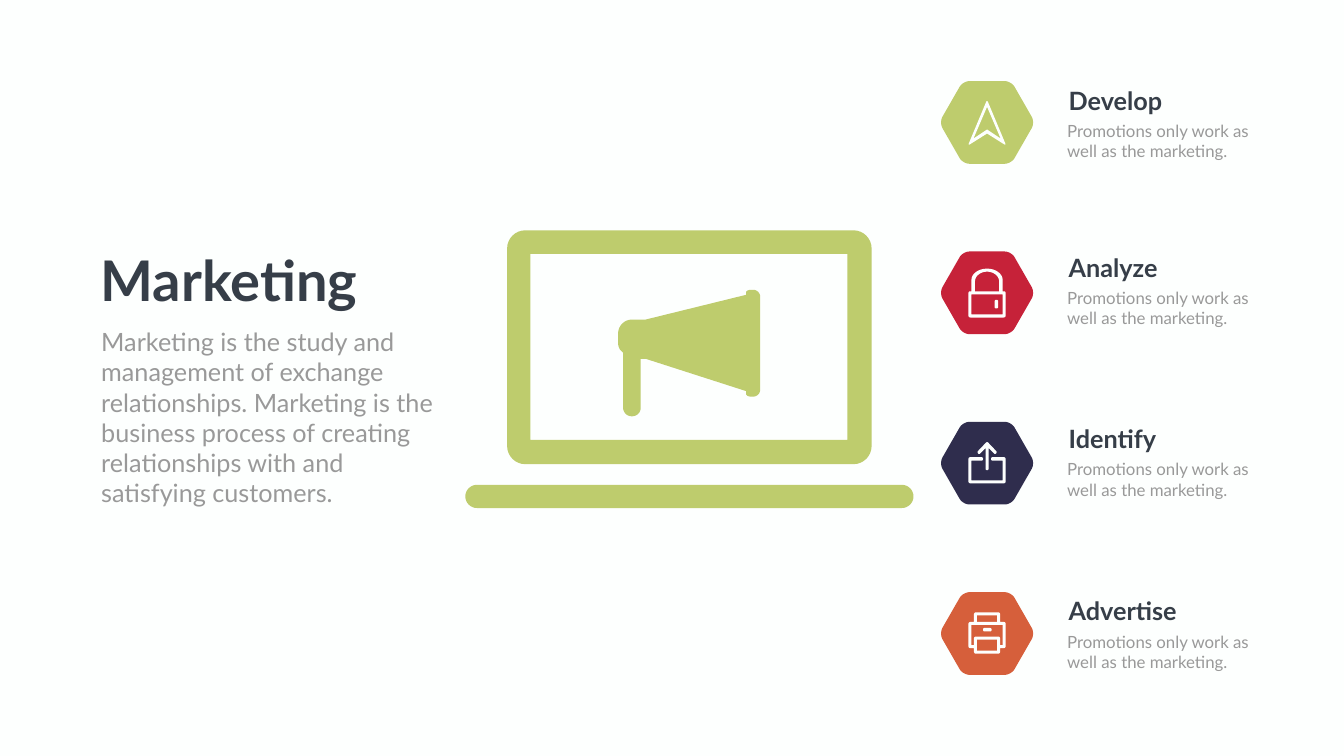
from pptx import Presentation
from pptx import util as u
from pptx.dml import color
from pptx.enum import text as t

THEME = {
    "paper": "FDFFFE", "green": "BECC6D", "red": "C62239", "navy": "2F2D4D",
    "orange": "D65F3B", "ink": "363E48", "grey": "999999",
    "font": "Lato", "headline": 80, "lead": 36, "heading": 36, "body": 24,
}


def mirror(*half):
    """Complete an outline whose right half runs from one end of its axis to the other."""
    return list(half) + [(-x, y, r) for x, y, r in reversed(half) if x]


def box(left, top, right, bottom, radius=0):
    """Return the corners of a rectangle."""
    return [(x, y, radius) for x, y in
            ((left, top), (right, top), (right, bottom), (left, bottom))]


HEADLINE = "Marketing"
LEAD = ("Marketing is the study and management of exchange relationships. "
        "Marketing is the business process of creating relationships with "
        "and satisfying customers.")
PROMISE = "Promotions only work as well as the marketing."

LAPTOP_SCREEN = [box(10.06, 4.57, 17.29, 9.21, 0.36), box(10.52, 5.04, 16.81, 8.73)]
LAPTOP_BASE = [box(9.23, 9.62, 18.12, 10.08, 0.23)]
MEGAPHONE = [[
    (14.8, 5.75, 0.1), (15.08, 5.75, 0.14), (15.08, 7.87, 0.14), (14.8, 7.87, 0.1),
    (14.8, 7.76, 0), (12.81, 7.12, 0), (12.71, 7.12, 0), (12.71, 8.26, 0.17),
    (12.36, 8.26, 0.17), (12.36, 7, 0), (12.26, 6.9, 0.1), (12.26, 6.34, 0.37),
    (12.81, 6.34, 0), (14.8, 5.85, 0),
]]

HEXAGON = [mirror((0.48, -0.82, 0.13), (0.95, 0, 0.13), (0.48, 0.82, 0.13))]
POINTER = [
    mirror((0, -0.45, 0.05), (0.38, 0.46, 0.05), (0, 0.22, 0)),
    mirror((0, -0.31, 0), (0.27, 0.32, 0), (0, 0.14, 0)),
]
PADLOCK = [
    mirror((0.31, -0.48, 0.31), (0.31, -0.03, 0), (0.37, -0.03, 0.04), (0.37, 0.49, 0.04)),
    mirror((0.24, -0.42, 0.24), (0.24, -0.03, 0)),
    box(-0.31, 0.03, 0.31, 0.43),
]
KEYHOLE = [box(0.15, 0.14, 0.22, 0.31, 0.03)]
TRAY = [mirror((0.31, 0.34, 0), (0.31, -0.05, 0), (0.08, -0.05, 0.03),
               (0.08, -0.12, 0.03), (0.37, -0.12, 0.04), (0.37, 0.4, 0.04))]
UP_ARROW = [mirror((0, -0.43, 0.03), (0.2, -0.22, 0.03), (0.16, -0.17, 0.03),
                   (0.03, -0.3, 0), (0.03, 0.14, 0.03))]
PRINTER = [
    mirror((0.26, -0.42, 0.04), (0.26, -0.23, 0), (0.37, -0.23, 0.04), (0.37, 0.29, 0.04),
           (0.26, 0.29, 0), (0.26, 0.4, 0.04)),
    box(-0.2, -0.36, 0.2, -0.23),
    box(-0.2, 0.12, 0.2, 0.34),
    mirror((0.26, 0.06, 0.04), (0.26, 0.23, 0), (0.31, 0.23, 0), (0.31, -0.17, 0)),
]
PRINTER_LIGHT = [box(-0.08, -0.11, 0.09, -0.04, 0.03)]

STEPS = [
    ("Develop", "green", 1.64, [POINTER]),
    ("Analyze", "red", 4.95, [PADLOCK, KEYHOLE]),
    ("Identify", "navy", 8.35, [TRAY, UP_ARROW]),
    ("Advertise", "orange", 11.77, [PRINTER, PRINTER_LIGHT]),
]
STEP_X, FIRST_STEP_Y, STEP_PITCH = 19.58, 2.43, 3.38


def rgb(name):
    """Look up a theme colour."""
    return color.RGBColor.from_string(THEME[name])


def rounded(corners, steps=8):
    """Replace each corner by points along a curve that starts at its radius."""
    points = []
    for i, (x, y, radius) in enumerate(corners):
        if not radius:
            points.append((x, y))
            continue
        ends = []
        for nx, ny, _ in (corners[i - 1], corners[(i + 1) % len(corners)]):
            length = ((nx - x) ** 2 + (ny - y) ** 2) ** 0.5
            cut = min(radius, length / 2) / length
            ends.append(((nx - x) * cut, (ny - y) * cut))
        (ax, ay), (bx, by) = ends
        for k in range(steps + 1):
            f = k / steps
            a = (1 - f) ** 3 + 1.35 * f * (1 - f) ** 2
            b = f ** 3 + 1.35 * f ** 2 * (1 - f)
            points.append((x + a * ax + b * bx, y + a * ay + b * by))
    return points


def draw(slide, outlines, fill, x=0, y=0):
    """Draw outlines as one filled shape, with inner outlines as holes."""
    builder = None
    for corners in outlines:
        first, *rest = [(u.Inches(x + px), u.Inches(y + py)) for px, py in rounded(corners)]
        if builder is None:
            builder = slide.shapes.build_freeform(*first, scale=1.0)
        else:
            builder.move_to(*first)
        builder.add_line_segments(rest, close=True)
    shape = builder.convert_to_shape()
    shape.shadow.inherit = False
    shape.fill.solid()
    shape.fill.fore_color.rgb = rgb(fill)
    shape.line.fill.background()


def write(slide, words, left, top, width, height, size="body", ink="grey", bold=False):
    """Place a wrapped line of text in the theme font."""
    frame = slide.shapes.add_textbox(*map(u.Inches, (left, top, width, height))).text_frame
    frame.word_wrap = True
    frame.auto_size = t.MSO_AUTO_SIZE.SHAPE_TO_FIT_TEXT
    run = frame.paragraphs[0].add_run()
    run.text = words
    run.font.name = THEME["font"]
    run.font.size = u.Pt(THEME[size])
    run.font.bold = bold
    run.font.color.rgb = rgb(ink)


def main():
    """Build the marketing slide."""
    deck = Presentation()
    deck.slide_width, deck.slide_height = u.Inches(26.66), u.Inches(15)
    slide = deck.slides.add_slide(deck.slide_layouts[6])
    slide.background.fill.solid()
    slide.background.fill.fore_color.rgb = rgb("paper")

    for outlines in (LAPTOP_SCREEN, LAPTOP_BASE, MEGAPHONE):
        draw(slide, outlines, "green")

    for i, (heading, fill, top, icon) in enumerate(STEPS):
        center_y = FIRST_STEP_Y + i * STEP_PITCH
        draw(slide, HEXAGON, fill, STEP_X, center_y)
        for part in icon:
            draw(slide, part, "paper", STEP_X, center_y)
        write(slide, heading, 21.1, top, 2.61, 0.71, size="heading", ink="ink", bold=True)
        write(slide, PROMISE, 21.07, top + 0.71, 4.02, 0.91)

    write(slide, HEADLINE, 1.9, 4.83, 7.05, 1.45, size="headline", ink="ink", bold=True)
    write(slide, LEAD, 1.91, 6.43, 6.86, 3.74, size="lead")
    deck.save("out.pptx")


if __name__ == "__main__":
    main()
